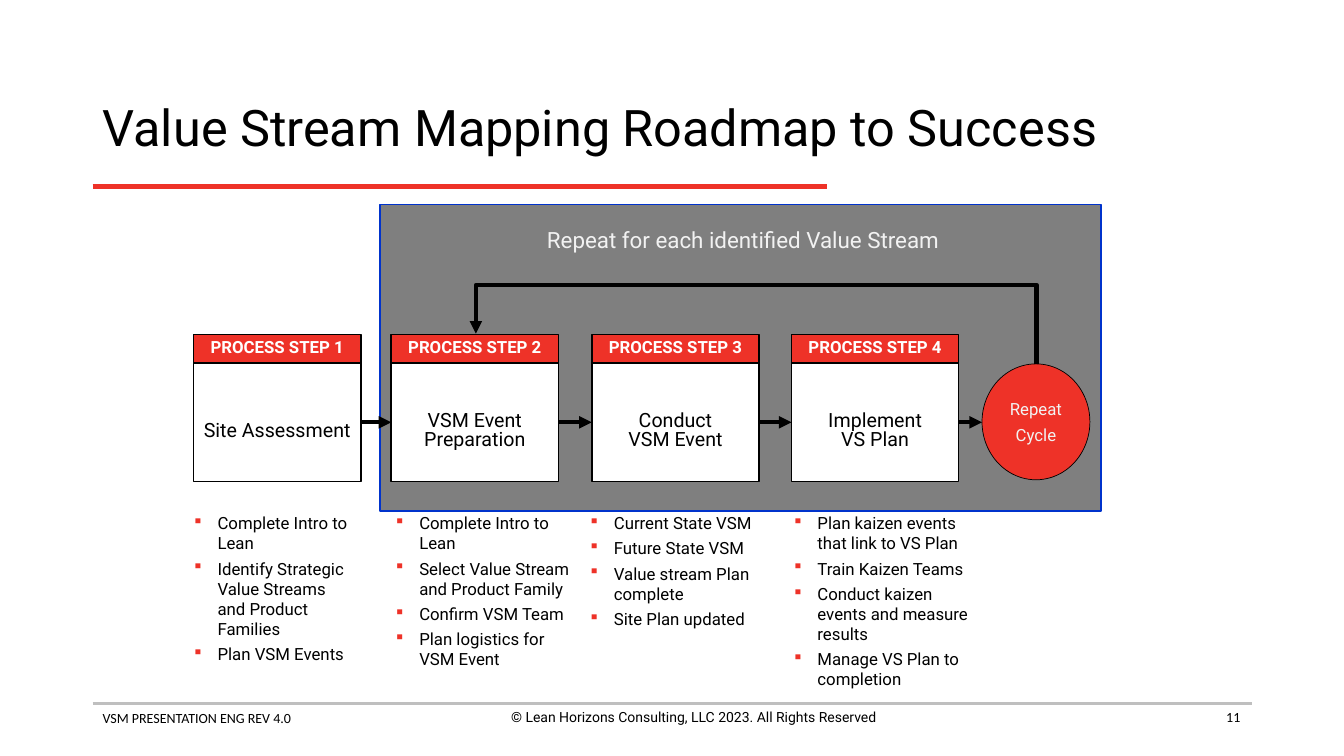
from lxml import etree
from pptx import Presentation
from pptx import util as u
from pptx.dml.color import RGBColor
from pptx.enum import shapes, text
from pptx.oxml.ns import qn

HUES = {"red": "EE3228", "black": "000000", "white": "FFFFFF", "gray": "7F7F7F",
        "pale": "F2F2F2", "rule": "BFBFBF", "blue": "0033CC"}
LEFT, MID, RIGHT = text.PP_ALIGN.LEFT, text.PP_ALIGN.CENTER, text.PP_ALIGN.RIGHT
RECT, OVAL = shapes.MSO_SHAPE.RECTANGLE, shapes.MSO_SHAPE.OVAL

# box left, box label, list left, list width, list items
STEPS = [
    (1.92, "Site Assessment", 1.81, 1.83,
     ["Complete Intro to Lean",
      "Identify Strategic Value Streams and Product Families",
      "Plan VSM Events"]),
    (3.88, "VSM Event\vPreparation", 3.81, 2.01,
     ["Complete Intro to Lean", "Select Value Stream and Product Family",
      "Confirm VSM Team", "Plan logistics for VSM Event"]),
    (5.87, "Conduct\vVSM Event", 5.74, 2.01,
     ["Current State VSM", "Future State VSM",
      "Value stream Plan complete", "Site Plan updated"]),
    (7.85, "Implement\vVS Plan", 7.76, 2,
     ["Plan kaizen events that link to VS Plan", "Train Kaizen Teams",
      "Conduct kaizen events and measure results",
      "Manage VS Plan to completion"]),
]


def style(item, **form):
    for key, val in form.items():
        setattr(item, key, val)


def tint(hue):
    return RGBColor.from_string(HUES[hue])


def child(base, tag, **attrs):
    return etree.SubElement(base, qn(tag), attrs)


def bullet(para):
    props = para._p.get_or_add_pPr()
    style_at = {"marL": u.Inches(0.25), "indent": u.Inches(-0.25)}
    for key, val in style_at.items():
        props.set(key, str(int(val)))
    child(child(props, "a:buClr"), "a:srgbClr", val=HUES["red"])
    child(props, "a:buSzPct", val="90000")
    child(props, "a:buChar", char="▪")


def write(shape, lines, size, hue="black", align=LEFT, font="Roboto", bold=False,
          gap=0, pitch=None, dots=False, **frame):
    """Fill a shape with paragraphs; gap is the space between them in points."""
    body = shape.text_frame
    style(body, **{"word_wrap": True, **frame})
    for i, line in enumerate(lines):
        para = body.add_paragraph() if i else body.paragraphs[0]
        para.text = line
        style(para, alignment=align)
        if pitch:
            para.line_spacing = pitch
        if i and gap:
            para.space_before = u.Pt(gap)
        if dots:
            bullet(para)
        style(para.font, name=font, size=u.Pt(size), bold=bold)
        para.font.color.rgb = tint(hue)


def label(slide, area, lines, size, **form):
    box = slide.shapes.add_textbox(*map(u.Inches, area))
    write(box, lines, size, **form)


def block(slide, kind, area, fill, edge=None, width=1):
    shape = slide.shapes.add_shape(kind, *map(u.Inches, area))
    shape.shadow.inherit = False
    shape.fill.solid()
    shape.fill.fore_color.rgb = tint(fill)
    if edge:
        shape.line.color.rgb = tint(edge)
        shape.line.width = u.Pt(width)
    else:
        shape.line.fill.background()
    return shape


def line(slide, start, end, hue="black", width=3, head=False,
         kind=shapes.MSO_CONNECTOR.STRAIGHT):
    link = slide.shapes.add_connector(kind, *map(u.Inches, (*start, *end)))
    link.line.color.rgb = tint(hue)
    link.line.width = u.Pt(width)
    if head:
        child(link.line._get_or_add_ln(), "a:tailEnd", type="triangle")
    child(link._element.spPr, "a:effectLst")
    return link


def loop(slide):
    """Arrow from the top of the circle back to the second step."""
    link = line(slide, (7.65, 0.68), (7.35, 6.24), head=True,
                kind=shapes.MSO_CONNECTOR.ELBOW)
    props = link._element.spPr
    props.find(qn("a:xfrm")).set("rot", "5400000")
    geom = props.find(qn("a:prstGeom"))
    guides = geom.find(qn("a:avLst"))
    if guides is None:
        guides = child(geom, "a:avLst")
    child(guides, "a:gd", name="adj1", fmla="val 261300")


def step(slide, num, left, name):
    box = block(slide, RECT, (left, 3.6, 1.66, 1.18), "white", "black")
    form = {"align": MID, "pitch": 0.8, "word_wrap": False,
            "vertical_anchor": text.MSO_ANCHOR.MIDDLE}
    write(box, [name], 14, margin_top=u.Inches(0.23), **form)
    head = block(slide, RECT, (left, 3.32, 1.66, 0.28), "red", "black")
    write(head, [f"PROCESS STEP {num}"], 12, hue="white", bold=True, **form)
    return box


def main():
    deck = Presentation()
    style(deck, slide_width=u.Inches(13.33), slide_height=u.Inches(7.5))
    slide = deck.slides.add_slide(deck.slide_layouts[6])

    line(slide, (0.92, 6.98), (12.42, 6.98), "rule", 2)
    label(slide, (0.92, 6.99, 4.56, 0.27), ["VSM PRESENTATION ENG REV 4.0"], 10,
          font="Calibri")
    label(slide, (4.6, 6.98, 4.56, 0.44),
          ["© Lean Horizons Consulting, LLC 2023. All Rights Reserved"], 10, align=MID)
    label(slide, (9.4, 6.98, 3, 0.36), ["11"], 10, font="Calibri", align=RIGHT)
    line(slide, (0.92, 1.85), (8.2, 1.85), "red")
    label(slide, (0.92, 0.74, 11.5, 1.1), ["Value Stream Mapping Roadmap to Success"],
          36, pitch=0.9, vertical_anchor=text.MSO_ANCHOR.MIDDLE)

    block(slide, RECT, (3.77, 2.03, 7.15, 3.04), "gray", "blue")
    note = block(slide, RECT, (5.29, 2.19, 4.16, 0.37), "gray")
    write(note, ["Repeat for each identified Value Stream"], 16, hue="pale",
          align=MID, word_wrap=False, vertical_anchor=text.MSO_ANCHOR.TOP)
    ring = block(slide, OVAL, (9.74, 3.61, 1.07, 1.15), "red", "black", 0.5)
    write(ring, ["Repeat", "Cycle"], 12, hue="pale", align=MID, gap=3.6,
          word_wrap=False, vertical_anchor=text.MSO_ANCHOR.MIDDLE)

    boxes = [step(slide, num, left, name)
             for num, (left, name, *_) in enumerate(STEPS, 1)]
    for box, goal in zip(boxes, boxes[1:] + [None]):
        link = line(slide, (9.51, 4.19), (9.74, 4.19), head=True)
        link.begin_connect(box, 3)
        if goal:
            link.end_connect(goal, 1)
    loop(slide)

    for _, _, left, width, items in STEPS:
        label(slide, (left, 5.04, width, 1.33), items, 12, gap=3.6, dots=True)
    deck.save("out.pptx")


if __name__ == "__main__":
    main()
